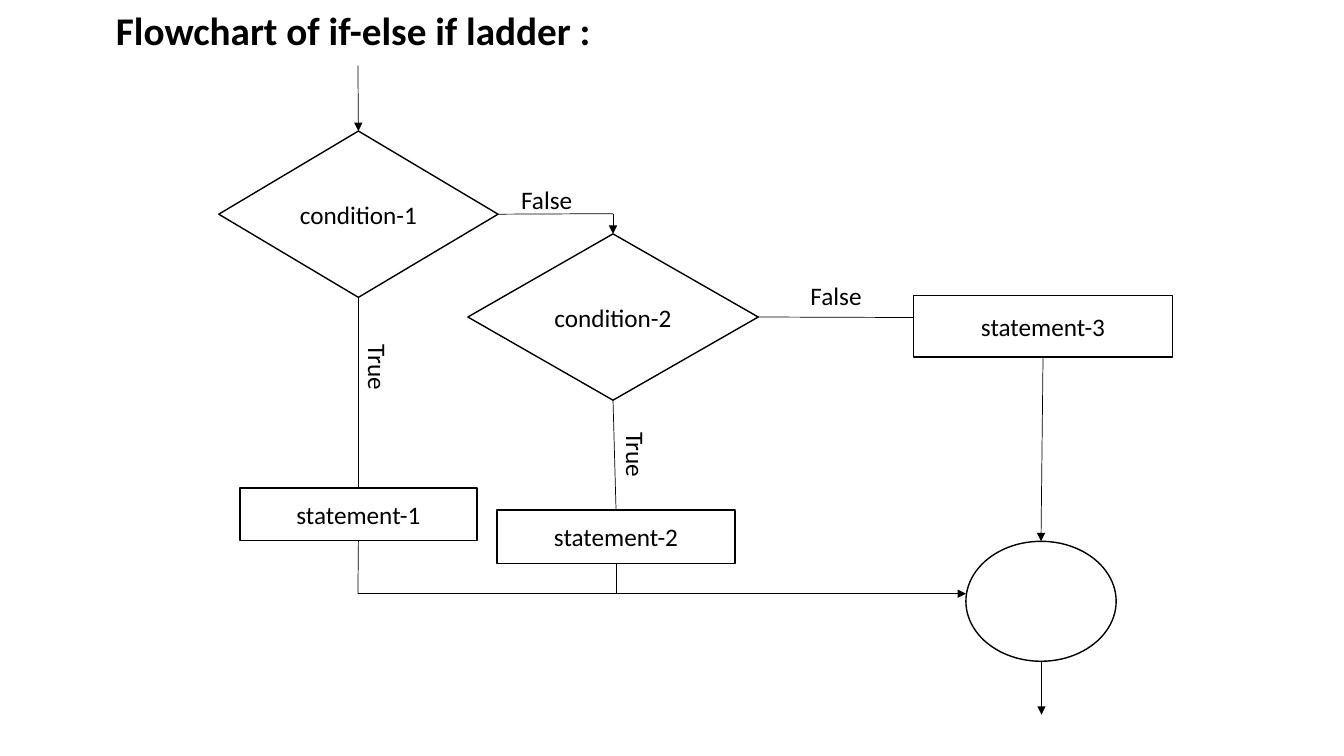
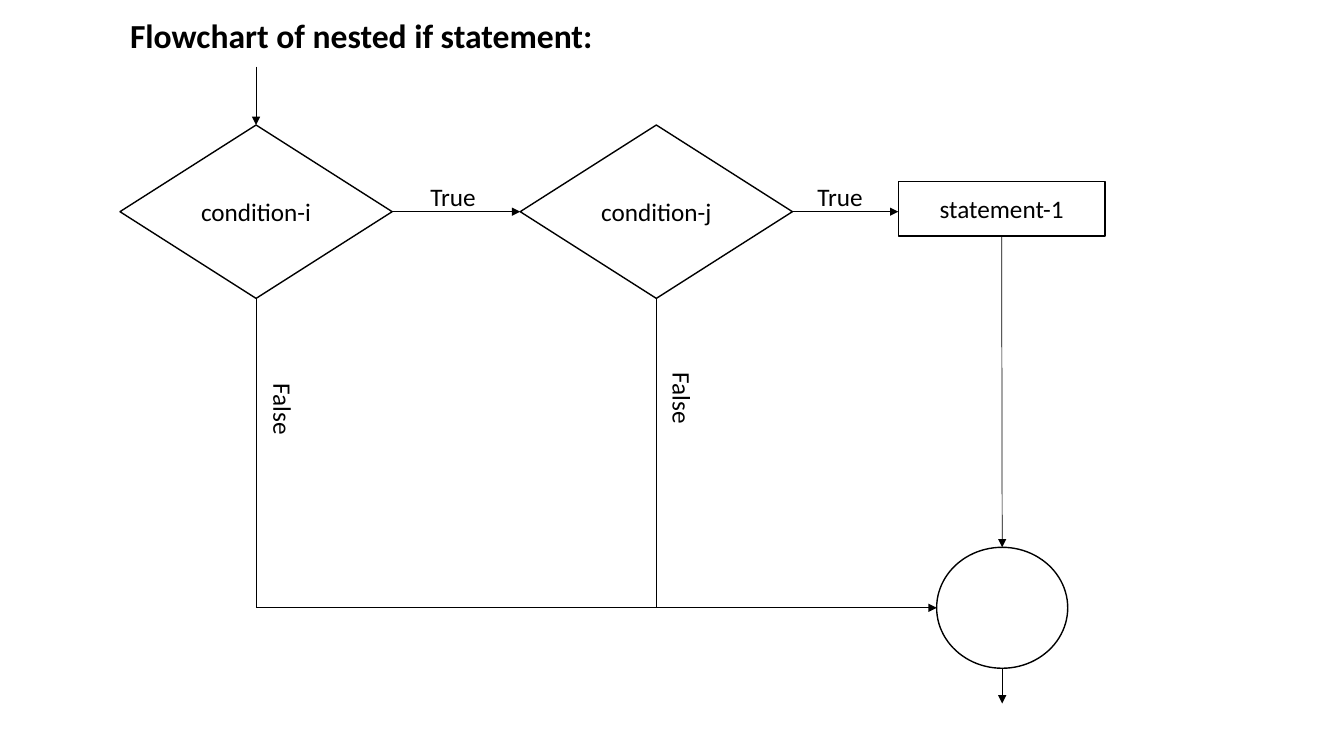
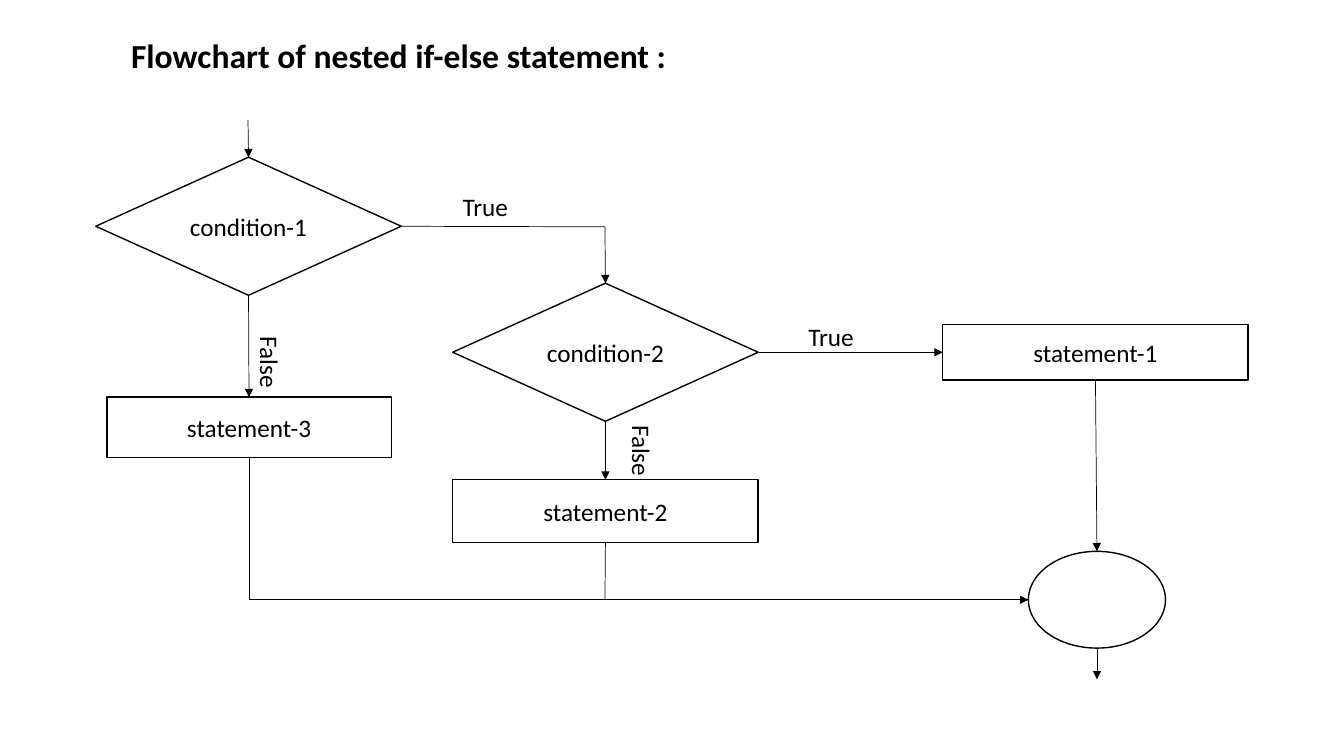
from lxml import etree
from pptx import Presentation
from pptx.dml.color import RGBColor
from pptx.enum.shapes import MSO_CONNECTOR, MSO_SHAPE
from pptx.enum.text import MSO_ANCHOR, MSO_AUTO_SIZE, PP_ALIGN
from pptx.oxml.ns import qn
from pptx.util import Inches, Pt

DECISION = MSO_SHAPE.FLOWCHART_DECISION
PROCESS = MSO_SHAPE.FLOWCHART_PROCESS
JOIN = MSO_SHAPE.FLOWCHART_CONNECTOR
STRAIGHT = MSO_CONNECTOR.STRAIGHT
TOP, LEFT, BOTTOM, RIGHT = range(4)

COLORS = {"ink": "000000", "paper": "FFFFFF"}
FONT = "Calibri"
TEXT_SIZE = 18
LABEL_ACROSS, LABEL_DOWN = (1.2, 0.4), (0.5, 0.9)
TITLE_ONLY = 5

# nodes: key -> (shape, text, (left, top, width, height))
# flows: (stops, arrow at the last stop); a stop is (node key, side) or (x, y)
# labels: (text, left, top, runs downwards)
CHARTS = [
    {
        "title": ("Flowchart of if-else if ladder :", 28, (1.05, 0.01, 6.9, 0.57)),
        "nodes": {
            "condition 1": (DECISION, "condition-1", (2.17, 1.3, 2.77, 1.65)),
            "condition 2": (DECISION, "condition-2", (4.64, 2.32, 2.88, 1.65)),
            "join": (JOIN, "", (9.58, 5.37, 1.49, 1.19)),
            "statement 3": (PROCESS, "statement-3", (9.06, 2.93, 2.57, 0.61)),
            "statement 2": (PROCESS, "statement-2", (4.93, 5.06, 2.36, 0.53)),
            "statement 1": (PROCESS, "statement-1", (2.38, 4.84, 2.35, 0.52)),
        },
        "flows": [
            ([(3.55, 0.65), ("condition 1", TOP)], True),
            ([("condition 1", BOTTOM), ("statement 1", TOP)], False),
            ([("condition 1", RIGHT), (6.08, 2.12), ("condition 2", TOP)], True),
            ([("condition 2", BOTTOM), ("statement 2", TOP)], False),
            ([("condition 2", RIGHT), (9.06, 3.15)], False),
            ([("statement 1", BOTTOM), (3.55, 5.89), (9.58, 5.89)], True),
            ([("statement 2", BOTTOM), (6.11, 5.89)], False),
            ([("statement 3", BOTTOM), ("join", TOP)], True),
            ([(10.33, 6.56), (10.33, 7.09)], True),
        ],
        "labels": [
            ("False", 5.07, 1.78, False),
            ("False", 7.94, 2.73, False),
            ("True", 3.45, 3.32, True),
            ("True", 6.01, 4.19, True),
        ],
    },
    {
        "title": ("Flowchart of nested if statement:", 24, (1.19, 0.1, 5.16, 0.5)),
        "nodes": {
            "condition i": (DECISION, "condition-i", (1.19, 1.24, 2.7, 1.72)),
            "condition j": (DECISION, "condition-j", (5.16, 1.24, 2.7, 1.72)),
            "join": (JOIN, "", (9.29, 5.43, 1.3, 1.2)),
            "statement 1": (PROCESS, "statement-1", (8.91, 1.8, 2.05, 0.54)),
        },
        "flows": [
            ([(2.54, 0.66), ("condition i", TOP)], True),
            ([("condition i", RIGHT), ("condition j", LEFT)], True),
            ([("condition j", RIGHT), (8.91, 2.1)], True),
            ([("statement 1", BOTTOM), ("join", TOP)], True),
            ([("condition i", BOTTOM), (2.54, 6.03), (9.29, 6.03)], True),
            ([("condition j", BOTTOM), (6.51, 6.03)], False),
            ([(9.94, 6.63), (9.94, 6.98)], True),
        ],
        "labels": [
            ("True", 4.17, 1.75, False),
            ("True", 8.01, 1.75, False),
            ("False", 2.51, 3.71, True),
            ("False", 6.47, 3.6, True),
        ],
    },
    {
        "title": ("Flowchart of nested if-else statement :", 24, (1.2, 0.3, 6.03, 0.5)),
        "nodes": {
            "condition 1": (DECISION, "condition-1", (0.95, 1.56, 3.03, 1.37)),
            "statement 3": (PROCESS, "statement-3", (1.06, 3.94, 2.82, 0.6)),
            "condition 2": (DECISION, "condition-2", (4.49, 2.81, 3.03, 1.37)),
            "statement 2": (PROCESS, "statement-2", (4.49, 4.76, 3.03, 0.62)),
            "statement 1": (PROCESS, "statement-1", (9.35, 3.22, 3.03, 0.55)),
            "join": (JOIN, "", (10.2, 5.47, 1.36, 0.96)),
        },
        "flows": [
            ([(2.46, 1.19), ("condition 1", TOP)], True),
            ([("condition 1", BOTTOM), ("statement 3", TOP)], True),
            ([("condition 1", RIGHT), (6, 2.25), ("condition 2", TOP)], True),
            ([("condition 2", BOTTOM), ("statement 2", TOP)], True),
            ([("condition 2", RIGHT), ("statement 1", LEFT)], True),
            ([("statement 3", BOTTOM), (2.47, 5.95), (10.2, 5.95)], True),
            ([("statement 2", BOTTOM), (6, 5.95)], False),
            ([("statement 1", BOTTOM), ("join", TOP)], True),
            ([(10.88, 6.43), (10.88, 6.74)], True),
        ],
        "labels": [
            ("True", 4.49, 1.85, False),
            ("True", 7.92, 3.14, False),
            ("False", 2.38, 3.24, True),
            ("False", 6.07, 4.12, True),
        ],
    },
]


def color(name):
    return RGBColor.from_string(COLORS[name])


def inches(values):
    return [Inches(value) for value in values]


def write(frame, text, size=TEXT_SIZE, bold=False, align=PP_ALIGN.LEFT, anchor=MSO_ANCHOR.TOP):
    frame.text = text
    frame.word_wrap = True
    frame.auto_size = MSO_AUTO_SIZE.NONE
    frame.vertical_anchor = anchor
    paragraph = frame.paragraphs[0]
    paragraph.alignment = align
    for run in paragraph.runs:
        run.font.name = FONT
        run.font.size = Pt(size)
        run.font.bold = bold
        run.font.color.rgb = color("ink")


def add_title(slide, text, size, box):
    title = slide.shapes.title
    title.left, title.top, title.width, title.height = inches(box)
    write(title.text_frame, text, size, bold=True)


def add_node(slide, kind, text, box):
    node = slide.shapes.add_shape(kind, *inches(box))
    node.shadow.inherit = False
    node.fill.solid()
    node.fill.fore_color.rgb = color("paper")
    node.line.color.rgb = color("ink")
    node.line.width = Pt(1)
    if text:
        write(node.text_frame, text, align=PP_ALIGN.CENTER, anchor=MSO_ANCHOR.MIDDLE)
    return node


def add_flow(slide, nodes, stops, arrow):
    """Draw straight legs between the stops, joined to the nodes they name."""
    def point(stop):
        return (0, 0) if stop[0] in nodes else inches(stop)

    for start, end in zip(stops, stops[1:]):
        leg = slide.shapes.add_connector(STRAIGHT, *point(start), *point(end))
        if start[0] in nodes:
            leg.begin_connect(nodes[start[0]], start[1])
        if end[0] in nodes:
            leg.end_connect(nodes[end[0]], end[1])
        leg.line.color.rgb = color("ink")
        leg.line.width = Pt(0.5)
        properties = leg._element.spPr
        if arrow and end is stops[-1]:
            etree.SubElement(properties.find(qn("a:ln")), qn("a:tailEnd"), type="triangle")
        etree.SubElement(properties, qn("a:effectLst"))


def add_label(slide, text, left, top, downwards):
    size = LABEL_DOWN if downwards else LABEL_ACROSS
    frame = slide.shapes.add_textbox(*inches((left, top, *size))).text_frame
    write(frame, text)
    if downwards:
        frame._txBody.bodyPr.set("vert", "vert")


def main():
    deck = Presentation()
    deck.slide_width, deck.slide_height = inches((13.33, 7.5))
    for chart in CHARTS:
        slide = deck.slides.add_slide(deck.slide_layouts[TITLE_ONLY])
        add_title(slide, *chart["title"])
        nodes = {key: add_node(slide, *node) for key, node in chart["nodes"].items()}
        for stops, arrow in chart["flows"]:
            add_flow(slide, nodes, stops, arrow)
        for label in chart["labels"]:
            add_label(slide, *label)
    deck.save("out.pptx")


if __name__ == "__main__":
    main()
